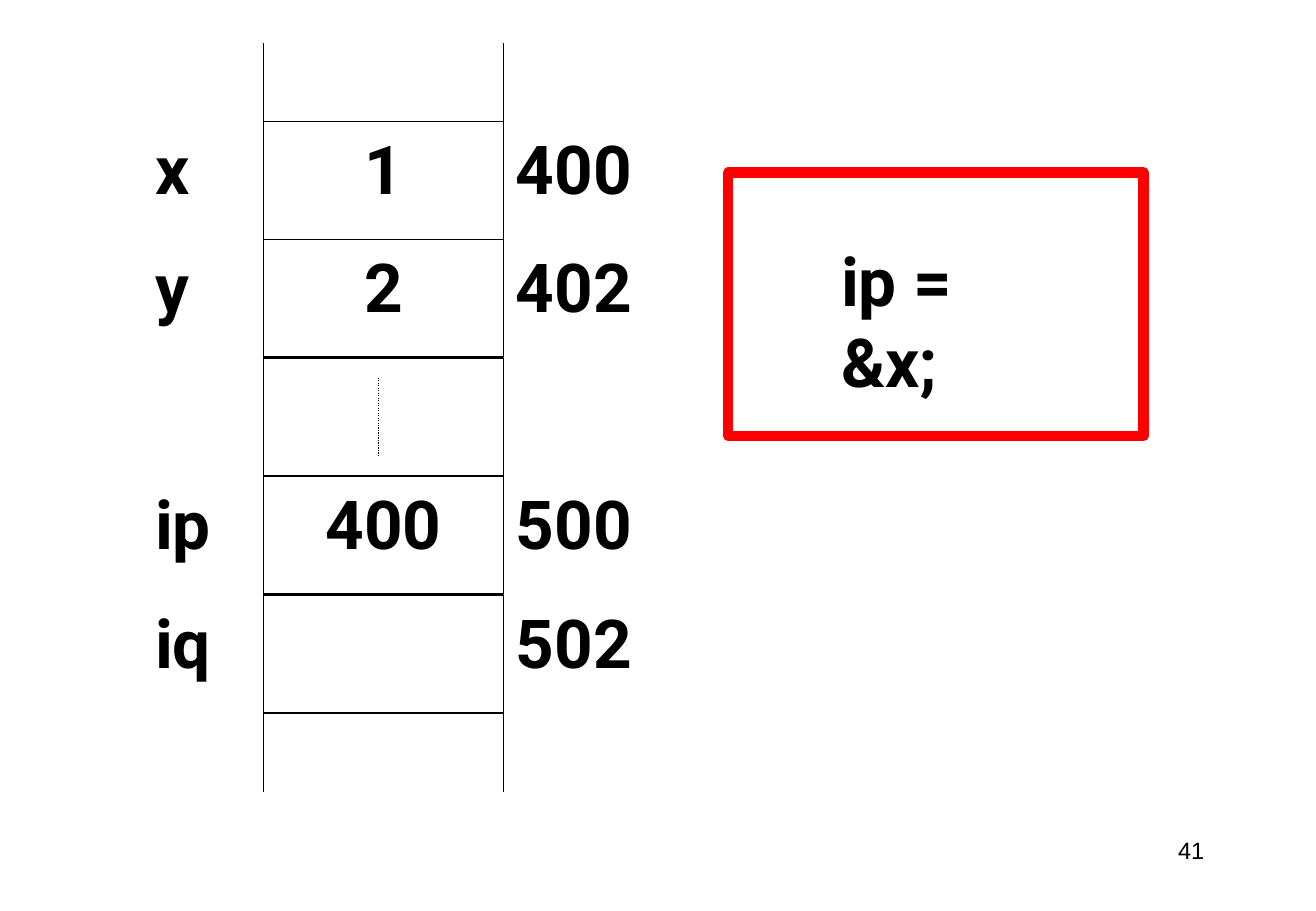
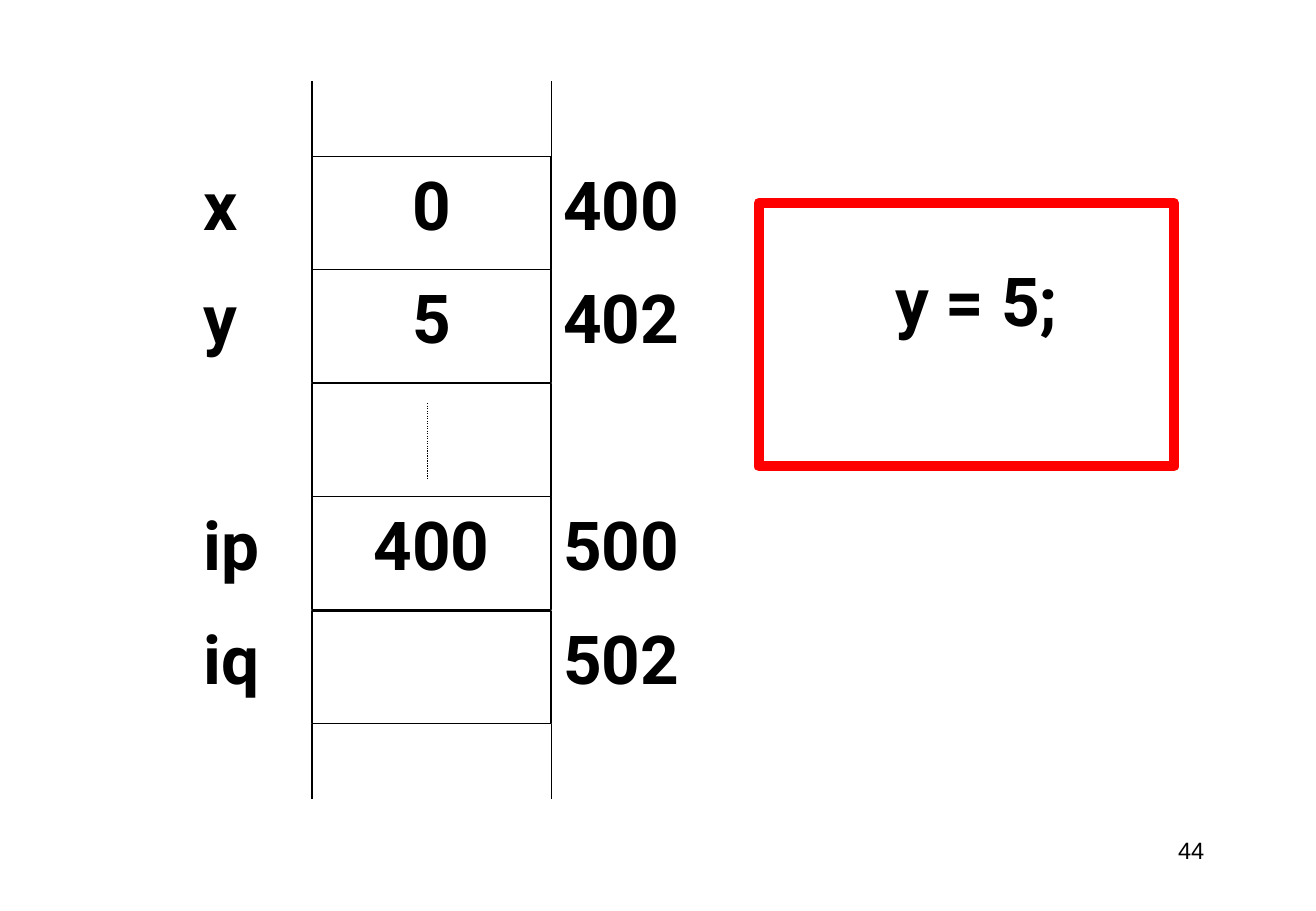
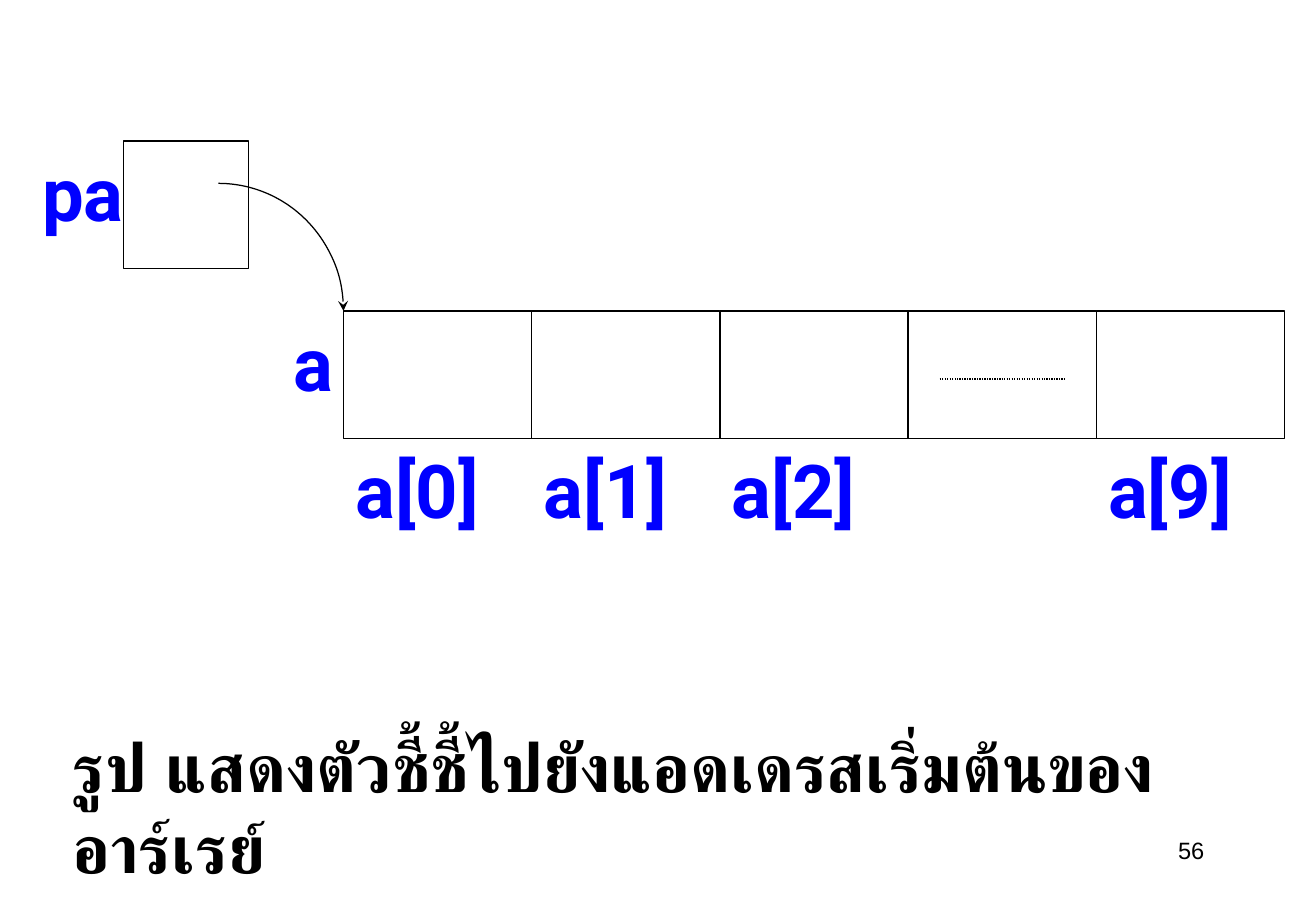
from dataclasses import dataclass

from lxml import etree
from pptx import Presentation
from pptx.dml.color import RGBColor
from pptx.enum.dml import MSO_LINE
from pptx.enum.shapes import MSO_CONNECTOR, MSO_SHAPE
from pptx.enum.text import MSO_ANCHOR, PP_ALIGN
from pptx.oxml.ns import qn
from pptx.util import Emu, Pt

# Shared style: 100 px to the inch
PX = 9144
SLIDE_W, SLIDE_H = 1084, 750
BLACK, WHITE, RED, BLUE = "000000", "FFFFFF", "FF0000", "0000FF"
THIN, FRAME_WEIGHT = 0.75, 6


@dataclass(frozen=True)
class Box:
    left: int
    top: int
    width: int
    height: int

    def emu(self) -> list[Emu]:
        return [px(n) for n in (self.left, self.top, self.width, self.height)]


@dataclass(frozen=True)
class TextStyle:
    size: int
    color: str = BLACK
    font: str = "Roboto"
    bold: bool = True
    align: PP_ALIGN = PP_ALIGN.LEFT


BODY = TextStyle(40)
VALUE = TextStyle(40, align=PP_ALIGN.CENTER)
ARRAY_LABEL = TextStyle(44, BLUE)
PAGE_NUMBER = TextStyle(14, font="Arial", bold=False, align=PP_ALIGN.RIGHT)


@dataclass(frozen=True)
class Variable:
    name: str
    value: str
    address: str


@dataclass(frozen=True)
class MemorySlide:
    page: str
    stack: Box
    rows: list[Variable | None]  # None marks the skipped addresses
    frame: Box
    statement: str
    statement_box: Box


MEMORY_SLIDES = [
    MemorySlide(
        "41", Box(217, 100, 198, 487),
        [Variable("x", "1", "400"), Variable("y", "2", "402"), None,
         Variable("ip", "400", "500"), Variable("iq", "", "502")],
        Box(600, 142, 342, 217), "ip = &x;", Box(683, 192, 197, 97)),
    MemorySlide(
        "44", Box(257, 129, 197, 467),
        [Variable("x", "0", "400"), Variable("y", "5", "402"), None,
         Variable("ip", "400", "500"), Variable("iq", "", "502")],
        Box(625, 167, 342, 217), "  y = 5;", Box(700, 208, 233, 75)),
]


# Drawing helpers
def px(length: int) -> Emu:
    return Emu(length * PX)


def rgb(color: str) -> RGBColor:
    return RGBColor.from_string(color)


def write(shape, text: str, style: TextStyle) -> None:
    frame = shape.text_frame
    frame.word_wrap = True
    frame.vertical_anchor = MSO_ANCHOR.TOP
    paragraph = frame.paragraphs[0]
    paragraph.text = text
    paragraph.alignment = style.align
    font = paragraph.font
    font.name, font.size, font.bold = style.font, Pt(style.size), style.bold
    font.color.rgb = rgb(style.color)


def add_text(slide, box: Box, text: str, style: TextStyle) -> None:
    write(slide.shapes.add_textbox(*box.emu()), text, style)


def add_outline(slide, box: Box, fill: str | None = WHITE, color: str = BLACK,
                weight: float = THIN, preset: MSO_SHAPE = MSO_SHAPE.RECTANGLE):
    shape = slide.shapes.add_shape(preset, *box.emu())
    shape.shadow.inherit = False
    if fill:
        shape.fill.solid()
        shape.fill.fore_color.rgb = rgb(fill)
    else:
        shape.fill.background()
    shape.line.color.rgb = rgb(color)
    shape.line.width = Pt(weight)
    return shape


def add_line(slide, x1: int, y1: int, x2: int, y2: int, dotted: bool = False) -> None:
    connector = slide.shapes.add_connector(
        MSO_CONNECTOR.STRAIGHT, px(x1), px(y1), px(x2), px(y2))
    connector.line.color.rgb = rgb(BLACK)
    connector.line.width = Pt(THIN)
    if dotted:
        connector.line.dash_style = MSO_LINE.ROUND_DOT
    etree.SubElement(connector._element.spPr, qn("a:effectLst"))


def new_slide(deck, page: str):
    slide = deck.slides.add_slide(deck.slide_layouts[6])
    add_text(slide, Box(776, 683, 226, 50), page, PAGE_NUMBER)
    return slide


# Memory diagram with one statement
def draw_memory(deck, content: MemorySlide) -> None:
    slide = new_slide(deck, content.page)
    stack = content.stack
    right, bottom = stack.left + stack.width, stack.top + stack.height
    pitch = stack.height / len(content.rows)
    height, rail = round(pitch), round(pitch * 2 / 3)

    for x in (stack.left, right):
        add_line(slide, x, stack.top, x, stack.top - rail)
        add_line(slide, x, bottom + rail, x, bottom)

    for index, variable in enumerate(content.rows):
        top = stack.top + round(index * pitch)
        cell = add_outline(slide, Box(stack.left, top, stack.width, height))
        if variable is None:
            gap_x, gap_top = stack.left + 95, top + round(pitch / 6)
            add_line(slide, gap_x, gap_top, gap_x, gap_top + rail, dotted=True)
            continue
        if variable.value:
            write(cell, variable.value, VALUE)
        add_text(slide, Box(stack.left - 99, top, 132, height), variable.name, BODY)
        add_text(slide, Box(right, top, 165, height), variable.address, BODY)

    add_text(slide, content.statement_box, content.statement, BODY)
    add_outline(slide, content.frame, None, RED, FRAME_WEIGHT)


# Pointer to the start of an array
def draw_array(deck) -> None:
    slide = new_slide(deck, "56")
    add_text(slide, Box(50, 592, 1008, 144),
             "รูป แสดงตัวชี้ชี้ไปยังแอดเดรสเริ่มต้นของอาร์เรย์", BODY)

    left, top, width, height = 283, 256, 155, 105
    for index, label in enumerate(["a[0]", "a[1]", "a[2]", "", "a[9]"]):
        x = left + index * width
        add_outline(slide, Box(x, top, width, height))
        if label:
            add_text(slide, Box(x, top + height, width, height), label, ARRAY_LABEL)
        else:
            add_line(slide, x + 26, top + 56, x + 129, top + 56, dotted=True)
    add_text(slide, Box(232, top, 129, height), "a", ARRAY_LABEL)

    add_outline(slide, Box(102, 116, 103, height))
    add_text(slide, Box(25, 116, 103, height), "pa", ARRAY_LABEL)

    # The quarter arc runs from the top of its box to the middle of the right side
    reach = 103
    pointer = add_outline(slide, Box(left - 2 * reach, top - height, 2 * reach, 2 * height),
                          None, preset=MSO_SHAPE.ARC)
    etree.SubElement(pointer.line._get_or_add_ln(), qn("a:tailEnd"), type="stealth")


def main() -> None:
    deck = Presentation()
    deck.slide_width, deck.slide_height = px(SLIDE_W), px(SLIDE_H)
    for content in MEMORY_SLIDES:
        draw_memory(deck, content)
    draw_array(deck)
    deck.save("out.pptx")


if __name__ == "__main__":
    main()
